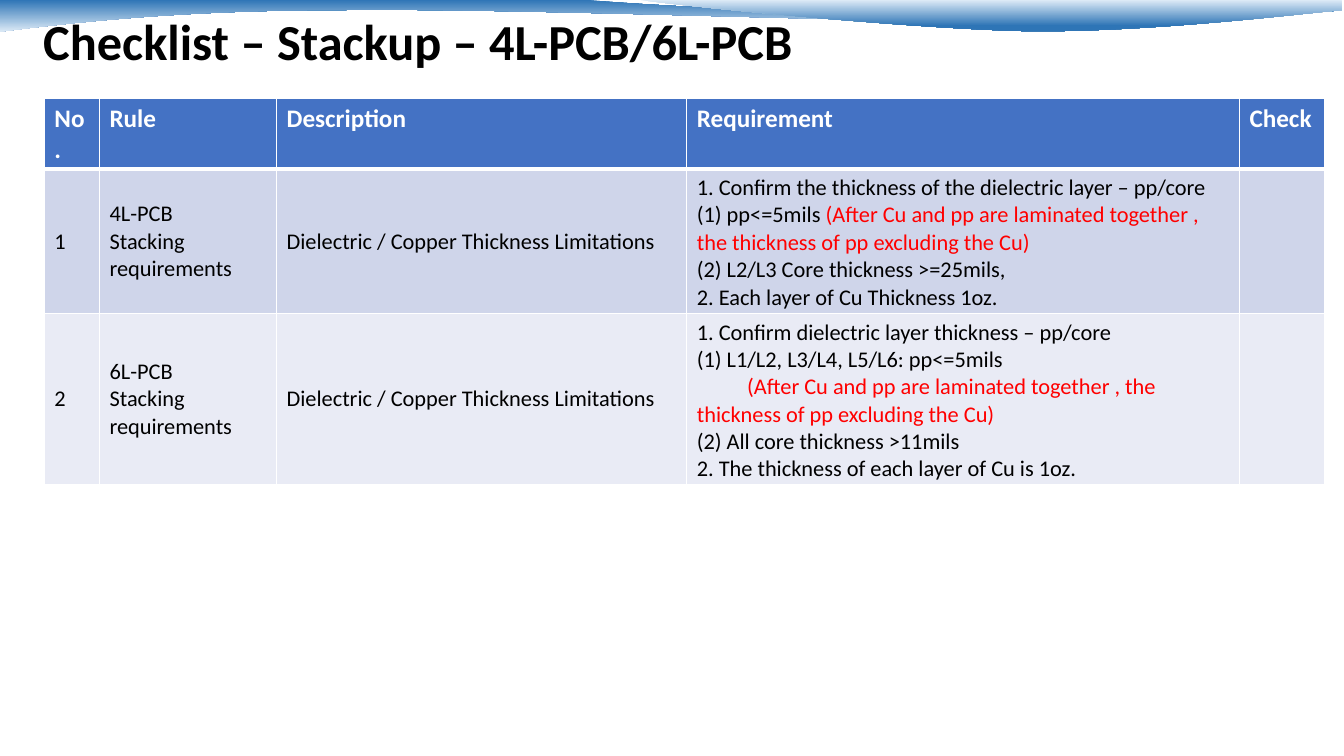
from lxml import etree
from pptx import Presentation, util as u
from pptx.dml.color import RGBColor
from pptx.enum import text
from pptx.oxml.ns import qn

# Content: a cell is a list of paragraphs, a paragraph a list of (words, colour)
TITLE = "Checklist – Stackup – 4L-PCB/6L-PCB"
HEADINGS = ["No.", "Rule", "Description", "Requirement", "Check"]
LIMITS = "Dielectric / Copper Thickness Limitations"
STACKING = "Stacking requirements"
LAMINATED = "(After Cu and pp are laminated together , the thickness of pp excluding the Cu) \n"

REQUIREMENT_4L = [
    [("1. Confirm the thickness of the dielectric layer – pp/core \n(1) pp<=5mils ", "ink"),
     (LAMINATED, "alert"),
     ("(2) L2/L3 Core thickness >=25mils, \n2. Each layer of Cu Thickness 1oz.", "ink")],
]
REQUIREMENT_6L = [
    "1. Confirm dielectric layer thickness – pp/core",
    [("(1) L1/L2, L3/L4, L5/L6: pp<=5mils\n\t", "ink"),
     (LAMINATED, "alert"),
     ("(2) All core thickness >11mils \n2. The thickness of each layer of Cu is 1oz.", "ink")],
]
RULES = [
    ("1", ["4L-PCB", STACKING], LIMITS, REQUIREMENT_4L, ""),
    ("2", ["6L-PCB", STACKING], LIMITS, REQUIREMENT_6L, ""),
]
COLORS = {"ink": "000000", "alert": "FF0000", "white": "FFFFFF", "header": "4472C4",
          "band0": "CFD5EA", "band1": "E9EBF5", "deep": "2E75B6", "pale": "DEEBF7"}
COLUMN_WIDTHS = [39.4, 126.5, 293, 394.8, 60.6]
ROW_HEIGHTS = [19.4, 29.5, 29.5]  # least heights; rows grow with their text
TABLE_HEIGHT = 254.2
REQUIREMENT_COLUMN = 3
NOTE_TAB = 36

# Wave outlines: two numbers end a straight line, six end a Bezier curve
WAVES = [
    ([(-2.2, 0), (420.5, 0), (455, 3.6, 635, 13, 726.5, 13),
      (817, 13, 918, 5, 958.3, 2.2), (959, 7.2),
      (942.5, 9.4, 833, 15.8, 714.2, 15.8), (595.4, 15.1, 364.3, 5.8, 244.8, 7.2),
      (122.4, 7.2, 42.5, 17.3, -2.9, 23)], [("deep", 0), ("pale", 1)]),
    ([(457.9, 0), (487.4, 4.3, 653, 20.9, 735.8, 22.3),
      (819.4, 23, 920.9, 10.8, 958.3, 7.2), (958.3, 0)], [("pale", 0), ("deep", 0.8)]),
]


def color(name):
    return RGBColor.from_string(COLORS[name])


def write(frame, lines, size=16, ink="ink", bold=False, spacing=None):
    """Fill a text frame with one paragraph per line."""
    if isinstance(lines, str):
        lines = [lines]
    for index, line in enumerate(lines):
        para = frame.paragraphs[0] if index == 0 else frame.add_paragraph()
        if spacing:
            para.line_spacing = spacing
        for words, tint in [(line, ink)] if isinstance(line, str) else line:
            if "\t" in words:
                tabs = etree.SubElement(para._p.get_or_add_pPr(), qn("a:tabLst"))
                etree.SubElement(tabs, qn("a:tab"), pos=str(u.Pt(NOTE_TAB)), algn="l")
            for row, part in enumerate(words.split("\n")):
                if row:
                    para.add_line_break()
                if not part:
                    continue
                span = para.add_run()
                span.text = part
                span.font.name = "Calibri"
                span.font.size = u.Pt(size)
                span.font.bold = bold
                span.font.color.rgb = color(tint)
        # Line breaks take the size of the text around them
        for line_break in para._p.findall(qn("a:br")):
            etree.SubElement(line_break, qn("a:rPr"), sz=str(size * 100))


def add_wave(page, outline, stops):
    points = [(u.Pt(x), u.Pt(y)) for step in outline for x, y in zip(step[::2], step[1::2])]
    builder = page.shapes.build_freeform(*points[0])
    builder.add_line_segments(points[1:], close=True)
    wave = builder.convert_to_shape()

    # Join each three points of a curve into one Bezier segment
    segments = iter(list(wave._element.iter(qn("a:lnTo"))))
    for step in outline[1:]:
        first = next(segments)
        if len(step) == 6:
            first.tag = qn("a:cubicBezTo")
            for extra in (next(segments), next(segments)):
                first.append(extra[0])
                extra.getparent().remove(extra)

    wave.shadow.inherit = False
    wave.line.fill.background()
    wave.fill.gradient()
    wave.fill.gradient_angle = 270
    for stop, (name, position) in zip(wave.fill.gradient_stops, stops):
        stop.color.rgb = color(name)
        stop.position = position


def set_borders(cell, **widths):
    """Draw white cell edges, 1 pt unless a width is given."""
    properties = cell._tc.get_or_add_tcPr()
    for index, side in enumerate("LRTB"):
        edge = etree.Element(qn(f"a:ln{side}"), w=str(u.Pt(widths.get(side, 1))))
        fill = etree.SubElement(edge, qn("a:solidFill"))
        etree.SubElement(fill, qn("a:srgbClr"), val=COLORS["white"])
        properties.insert(index, edge)


def add_checklist(page):
    frame = page.shapes.add_table(len(RULES) + 1, len(HEADINGS), u.Pt(31.7), u.Pt(70.4),
                                  u.Pt(sum(COLUMN_WIDTHS)), u.Pt(TABLE_HEIGHT))
    table = frame.table
    for column, width in zip(table.columns, COLUMN_WIDTHS):
        column.width = u.Pt(width)
    for row, height in zip(table.rows, ROW_HEIGHTS):
        row.height = u.Pt(height)
    frame.height = u.Pt(TABLE_HEIGHT)

    for r, entries in enumerate([HEADINGS, *RULES]):
        for c, entry in enumerate(entries):
            cell = table.cell(r, c)
            cell.fill.solid()
            cell.fill.fore_color.rgb = color("header" if r == 0 else f"band{r - 1}")
            if r == 0:
                write(cell.text_frame, entry, size=18, ink="white", bold=True)
                set_borders(cell, B=3)
                continue
            write(cell.text_frame, entry)
            if entry and c != REQUIREMENT_COLUMN:
                cell.vertical_anchor = text.MSO_ANCHOR.MIDDLE
            set_borders(cell, T=3 if r == 1 else 1)


def main():
    deck = Presentation()
    deck.slide_width, deck.slide_height = u.Pt(960), u.Pt(540)
    page = deck.slides.add_slide(deck.slide_layouts[6])

    # Waves along the top edge
    for outline, stops in WAVES:
        add_wave(page, outline, stops)

    # Title
    box = page.shapes.add_textbox(u.Pt(23.8), u.Pt(8.6), u.Pt(864), u.Pt(56.9))
    box.text_frame.word_wrap = True
    write(box.text_frame, TITLE, size=36, bold=True, spacing=0.9)

    # Checklist table
    add_checklist(page)
    deck.save("out.pptx")


if __name__ == "__main__":
    main()
